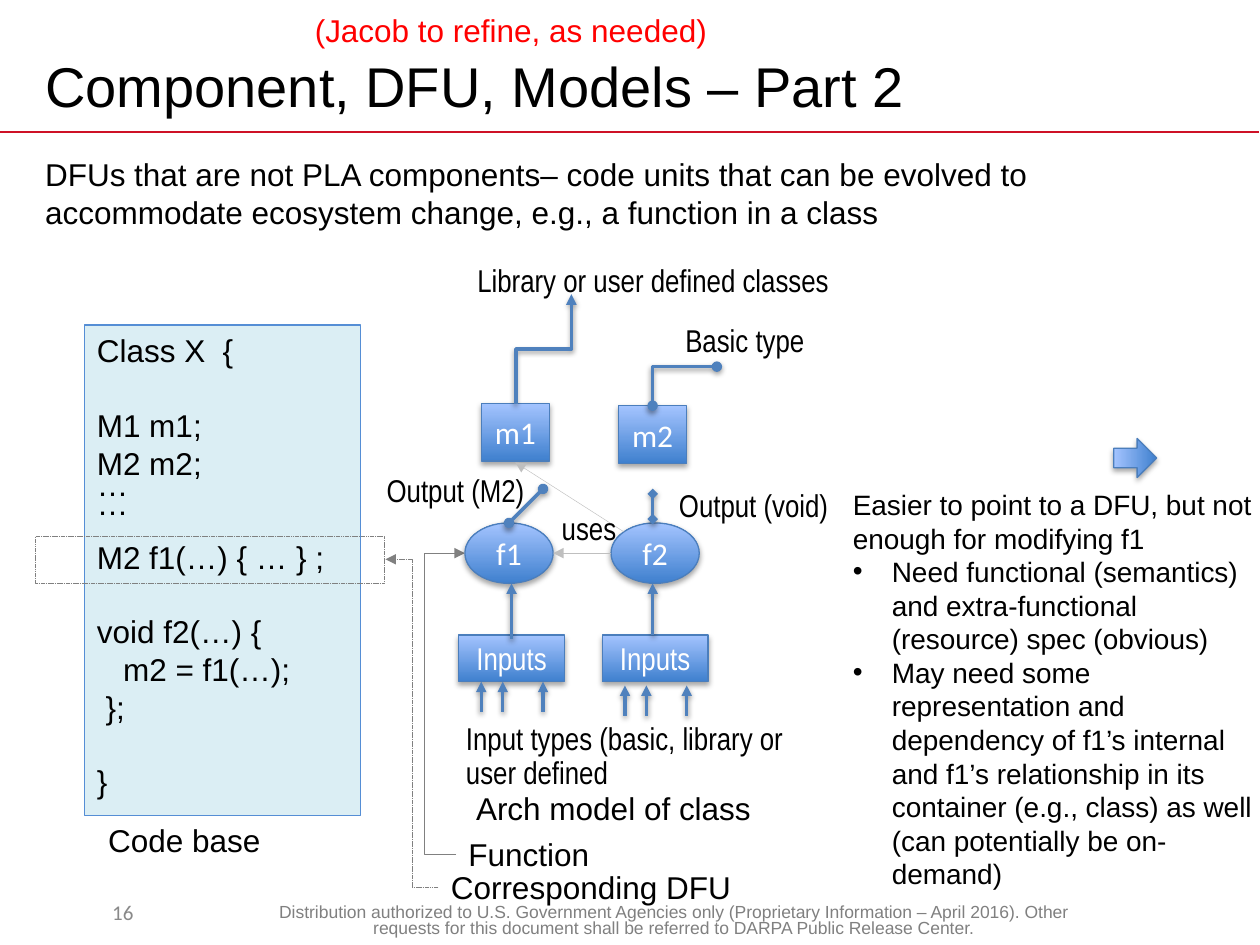
from lxml import etree
from pptx import Presentation
from pptx.dml import color
from pptx.enum import dml, shapes, text
from pptx.oxml import ns
from pptx.util import Inches, Pt

COLORS = {"black": "000000", "white": "FFFFFF", "red": "FF0000", "rule": "CE1126",
          "gray": "808080", "number": "898989", "pale_gray": "BFBFBF",
          "code_fill": "DBEEF4", "code_edge": "558ED5", "link": "4F81BD",
          "node_edge": "4B7EBC", "node_dark": "3F80CE", "node_light": "A4C4FF"}
SHAPE, LINK = shapes.MSO_SHAPE, shapes.MSO_CONNECTOR
CENTER, MIDDLE = text.PP_ALIGN.CENTER, text.MSO_ANCHOR.MIDDLE
NARROW = "Arial Narrow"


def rgb(name):
    """Return a palette colour."""
    return color.RGBColor.from_string(COLORS[name])


def child(parent, tag, **attributes):
    """Append a drawing element with the given attributes."""
    element = etree.SubElement(parent, ns.qn(tag))
    for name, value in attributes.items():
        element.set(name, str(value))
    return element


def cast_shadow(effects, alpha, distance):
    """Add a soft shadow that falls straight down."""
    shadow = child(effects, "a:outerShdw", blurRad=Pt(3.1), dist=Pt(distance),
                   dir=5400000, rotWithShape=0)
    child(child(shadow, "a:srgbClr", val=COLORS["black"]), "a:alpha", val=alpha * 1000)


def write(frame, lines, size=18, font="Arial", ink="black", align=None, anchor=None,
          wrap=True, inset=None):
    """Fill a text frame with (text, paragraph format) pairs or plain strings."""
    frame.word_wrap = wrap
    frame.vertical_anchor = anchor or text.MSO_ANCHOR.TOP
    if inset is not None:
        frame.margin_left = frame.margin_right = Inches(inset)
    for index, line in enumerate(lines):
        words, layout = line if isinstance(line, tuple) else (line, {})
        paragraph = frame.add_paragraph() if index else frame.paragraphs[0]
        layout = {"alignment": align or text.PP_ALIGN.LEFT, **layout}
        if layout.pop("bullet", False):
            properties = paragraph._p.get_or_add_pPr()
            properties.set("marL", str(Inches(0.31)))
            properties.set("indent", str(Inches(-0.31)))
            child(properties, "a:buFont", typeface="Arial")
            child(properties, "a:buChar", char="•")
        for name, value in layout.items():
            setattr(paragraph, name, value)
        run = paragraph.add_run()
        run.text = words
        for name, value in {"size": Pt(size), "name": font}.items():
            setattr(run.font, name, value)
        run.font.color.rgb = rgb(ink)


class Region:
    """A part of the slide whose contents are placed from its own corner."""

    def __init__(self, slide, left, top):
        """Remember the slide and the corner."""
        self.items, self.left, self.top = slide.shapes, left, top

    def place(self, x, y):
        """Turn a point of the region into a point of the slide."""
        return Inches(self.left + x), Inches(self.top + y)

    def label(self, x, y, width, height, *lines, **style):
        """Add a text box."""
        box = self.items.add_textbox(*self.place(x, y), Inches(width), Inches(height))
        write(box.text_frame, lines, **style)

    def outline(self, x, y, width, height, fill, edge, weight, preset=SHAPE.RECTANGLE):
        """Add a flat preset shape."""
        shape = self.items.add_shape(preset, *self.place(x, y), Inches(width), Inches(height))
        shape.shadow.inherit = False
        if fill:
            shape.fill.solid()
            shape.fill.fore_color.rgb = rgb(fill)
        else:
            shape.fill.background()
        shape.line.color.rgb, shape.line.width = rgb(edge), Pt(weight)
        return shape

    def node(self, x, y, width, height, words="", preset=SHAPE.RECTANGLE, font="Calibri", angle=90):
        """Add a shaded blue shape with a shadow."""
        shape = self.outline(x, y, width, height, None, "node_edge", 0.75, preset)
        shape.fill.gradient()
        shape.fill.gradient_angle = angle
        for stop, name in zip(shape.fill.gradient_stops, ("node_dark", "node_light")):
            stop.color.rgb = rgb(name)
        cast_shadow(shape._element.spPr.find(ns.qn("a:effectLst")), 35, 1.8)
        if words:
            write(shape.text_frame, [words], font=font, ink="white", align=CENTER,
                  anchor=MIDDLE, wrap=False, inset=0)

    def link(self, start, end, ink="link", weight=2, head=None, tail="triangle",
             kind=LINK.STRAIGHT, dash=None):
        """Add a connector; the heavy ones cast a shadow."""
        line = self.items.add_connector(kind, *self.place(*start), *self.place(*end))
        line.line.color.rgb, line.line.width = rgb(ink), Pt(weight)
        if dash:
            line.line.dash_style = dash
        stroke = line.line._get_or_add_ln()
        for tag, tip in (("a:headEnd", head), ("a:tailEnd", tail)):
            if tip:
                child(stroke, tag, type=tip)
        effects = child(line._element.spPr, "a:effectLst")
        if weight == 2:
            cast_shadow(effects, 38, 1.6)
        return line


def draw_heading(area):
    """Place the reminder, title, rule and introduction."""
    area.link((0, 1.05), (9.99, 1.05), "rule", 1, tail=None)
    area.label(2.4, 0.04, 3.41, 0.4, "(Jacob to refine, as needed)", ink="red", wrap=False)
    area.label(0.26, 0.3, 9, 0.75, "Component, DFU, Models – Part 2", size=32, anchor=MIDDLE)
    area.label(0.26, 1.18, 9.33, 0.71, "DFUs that are not PLA components– code units that can be "
               "evolved to accommodate ecosystem change, e.g., a function in a class")


def draw_code(area):
    """Place the class listing with its marked function."""
    gap = {"space_before": Pt(21)}
    listing = area.outline(0.39, 0, 2.19, 3.89, "code_fill", "code_edge", 0.75)
    write(listing.text_frame, [
        "Class X  {", ("M1 m1;", gap), "M2 m2;", ("…", {"line_spacing": 0.5}),
        ("…", {"line_spacing": 0.5}), ("M2 f1(…) { … } ;", {"space_before": Pt(10.5)}),
        ("void f2(…) {", gap), "   m2 = f1(…);", " };", ("}", gap)])
    area.label(0.48, 3.89, 1.81, 0.4, "Code base")
    mark = area.outline(0, 1.68, 2.77, 0.37, None, "gray", 0.25)
    mark.line.dash_style = dml.MSO_LINE.SQUARE_DOT


def draw_model(area):
    """Place the architecture model of the class."""
    centers = {"m1": (1.09, 1.2), "m2": (2.18, 1.22), "f1": (1.04, 2.15), "f2": (2.2, 2.15)}
    for name, (x, y) in centers.items():
        if name.startswith("m"):
            area.node(x - 0.27, y, 0.54, 0.46, name)
        else:
            area.node(x - 0.35, y, 0.7, 0.48, name, SHAPE.OVAL)
    for x, drop in ((0.64, 0), (1.78, 0.03)):
        area.node(x, 3.04, 0.84, 0.37, "Inputs", font=NARROW)
        for step in (0.18, 0.35, 0.67):
            area.link((x + step, 3.65 + drop), (x + step, 3.41 + drop))
    area.link((1.06, 3.07), (1.06, 2.63))
    area.link((2.18, 3.04), (2.18, 2.63))
    basic = area.link((2.69, 0.91), (2.18, 1.22), head="oval", tail="oval", kind=LINK.ELBOW)
    basic._element.spPr.find(ns.qn("a:prstGeom")).set("prst", "bentConnector2")
    library = area.link((0.88, 0.55), (1.75, 0.99), kind=LINK.ELBOW)
    library._element.spPr.find(ns.qn("a:xfrm")).set("rot", str(270 * 60000))
    area.link((1.85, 2.39), (1.39, 2.39), "pale_gray", 0.25)
    area.link((1.95, 2.22), (1.09, 1.67), "pale_gray", 0.25)
    area.link((1.04, 2.15), (1.31, 1.88), head="oval", tail="oval")
    area.link((2.18, 2.12), (2.18, 1.92), head="diamond", tail="diamond")
    for x, y, width, words in (
            (2.34, 0.5, 1.22, "Basic type"), (0.69, 0.02, 3.04, "Library or user defined classes"),
            (1.36, 1.99, 0.68, "uses"), (2.29, 1.81, 1.47, "Output (void)"),
            (-0.03, 1.69, 1.32, "Output (M2)")):
        area.label(x, y, width, 0.4, words, font=NARROW)
    area.label(0.6, 3.69, 3.16, 0.65,
               ("Input types (basic, library or user defined", {"line_spacing": 0.9}), font=NARROW)


def draw_captions(area):
    """Place the captions and the pointers that lead from them."""
    for x, y, words in ((0.68, 0.01, "Arch model of class"), (0.62, 0.38, "Function"),
                        (0.48, 0.64, "Corresponding DFU")):
        area.label(x, y, 2.43, 0.4, words)
    pointer = area.link((0.62, 0.58), (0.69, -1.81), "gray", 0.25, kind=LINK.ELBOW)
    guides = pointer._element.spPr.find(ns.qn("a:prstGeom")).get_or_add_avLst()
    child(guides, "a:gd", name="adj1", fmla="val -357000")
    area.link((0.48, 0.84), (0.06, -1.76), "gray", 0.25, kind=LINK.ELBOW,
              dash=dml.MSO_LINE.SQUARE_DOT)


def draw_remarks(area):
    """Place the arrow and the remarks under it."""
    area.node(2.17, 0.01, 0.34, 0.31, preset=SHAPE.RIGHT_ARROW, angle=180)
    area.label(0, 0.35, 3.42, 3.33, "Easier to point to a DFU, but not enough for modifying f1",
               ("Need functional (semantics) and extra-functional (resource) spec (obvious)",
                {"bullet": True}),
               ("May need some representation and dependency of f1’s internal and f1’s relationship "
                "in its container (e.g., class) as well (can potentially be on-demand)",
                {"bullet": True}), size=16)


def draw_footer(area):
    """Place the slide number and the distribution statement."""
    area.label(0, 0, 1.39, 0.4, "16", size=12, font="Calibri", ink="number", align=CENTER,
               anchor=MIDDLE)
    area.label(1.83, 0.09, 6.47, 0.31, (
        "Distribution authorized to U.S. Government Agencies only (Proprietary Information – April "
        "2016). Other requests for this document shall be referred to DARPA Public Release Center.",
        {"line_spacing": 0.8}), size=10, ink="gray", align=CENTER)


def main():
    """Build the slide and save it."""
    deck = Presentation()
    deck.slide_width, deck.slide_height = Inches(10), Inches(7.5)
    slide = deck.slides.add_slide(deck.slide_layouts[6])
    for draw, left, top in ((draw_footer, 0.28, 7.04), (draw_heading, 0, 0),
                            (draw_code, 0.28, 2.58), (draw_captions, 3, 6.2),
                            (draw_model, 3, 2), (draw_remarks, 6.67, 3.47)):
        draw(Region(slide, left, top))
    deck.save("out.pptx")


if __name__ == "__main__":
    main()
